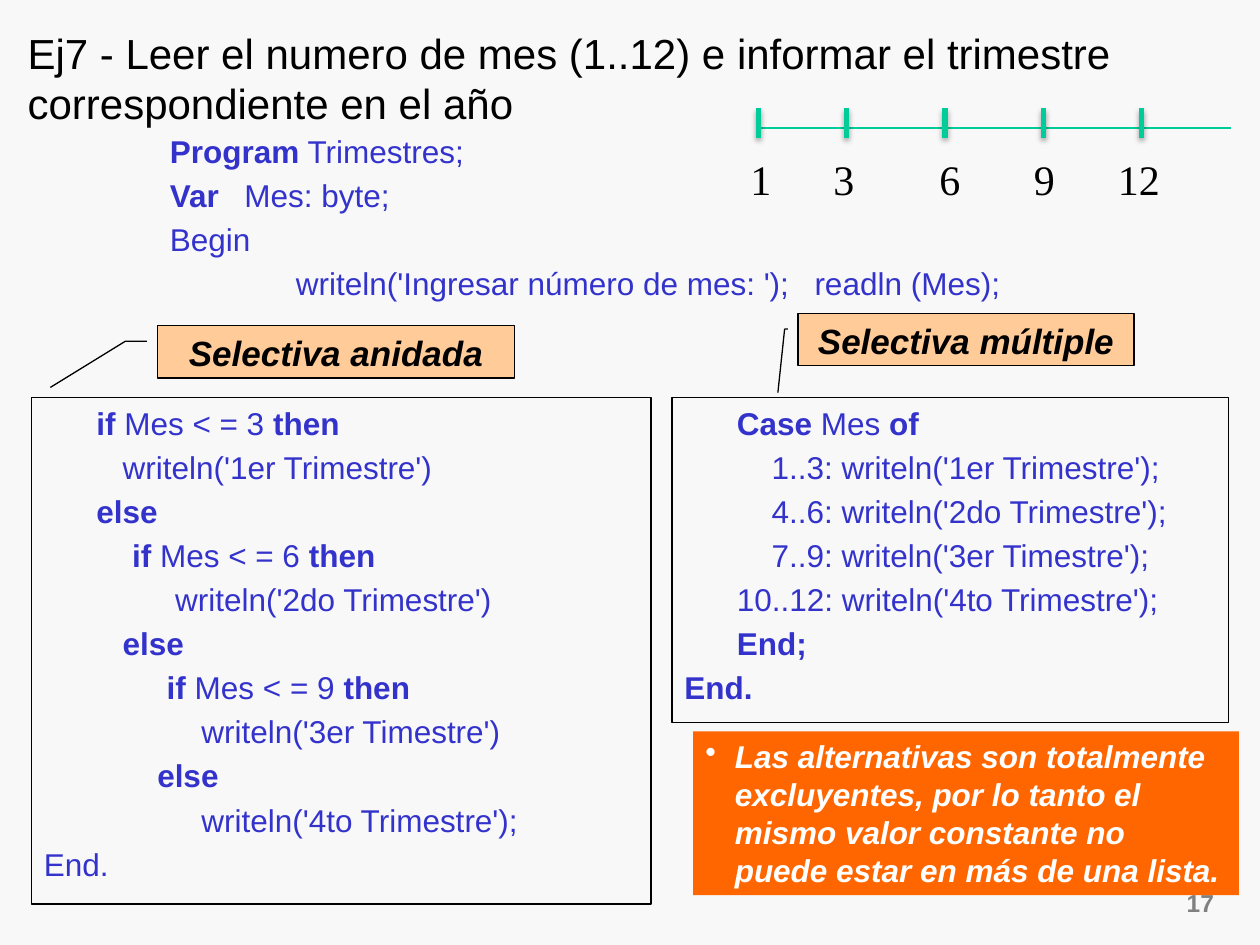
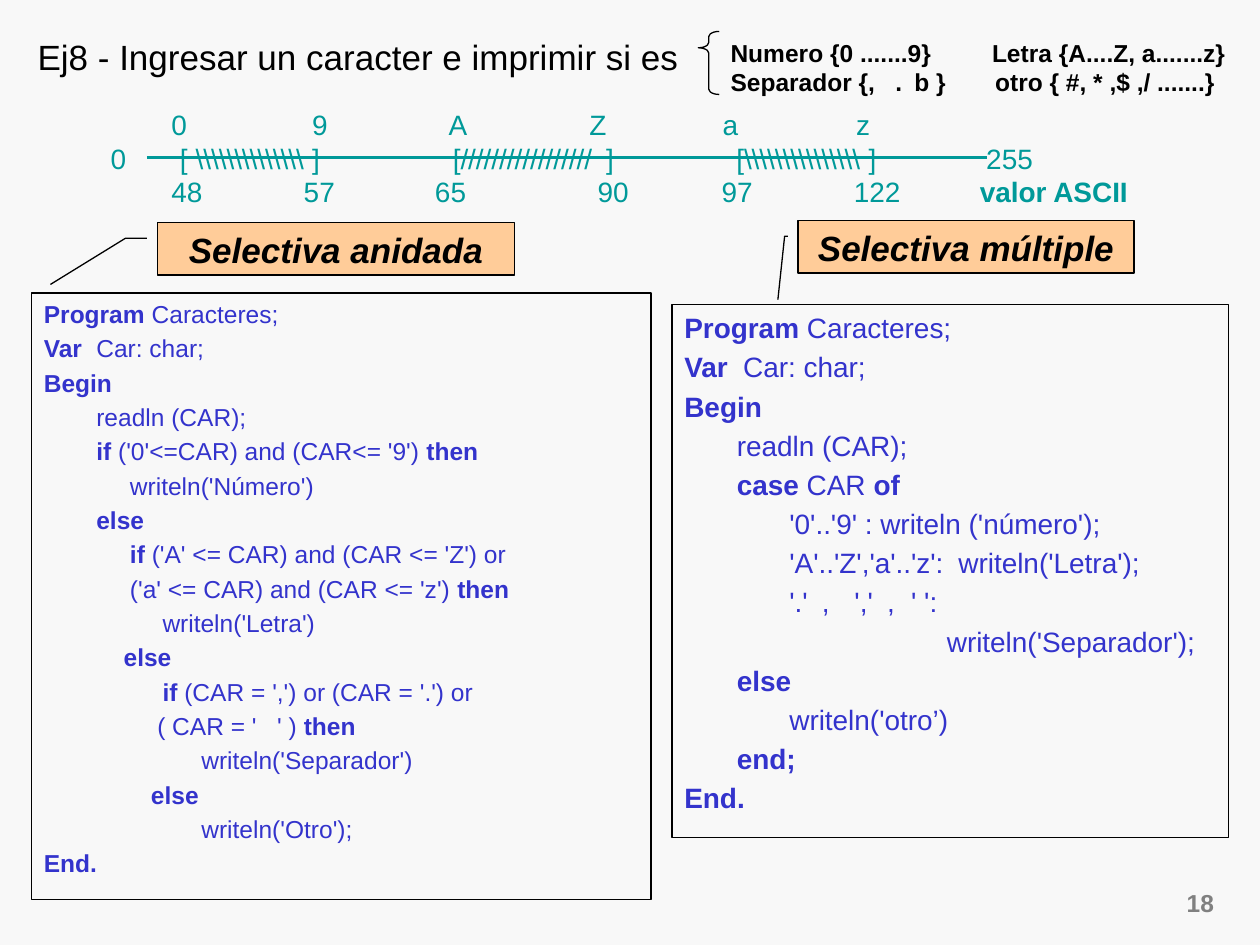
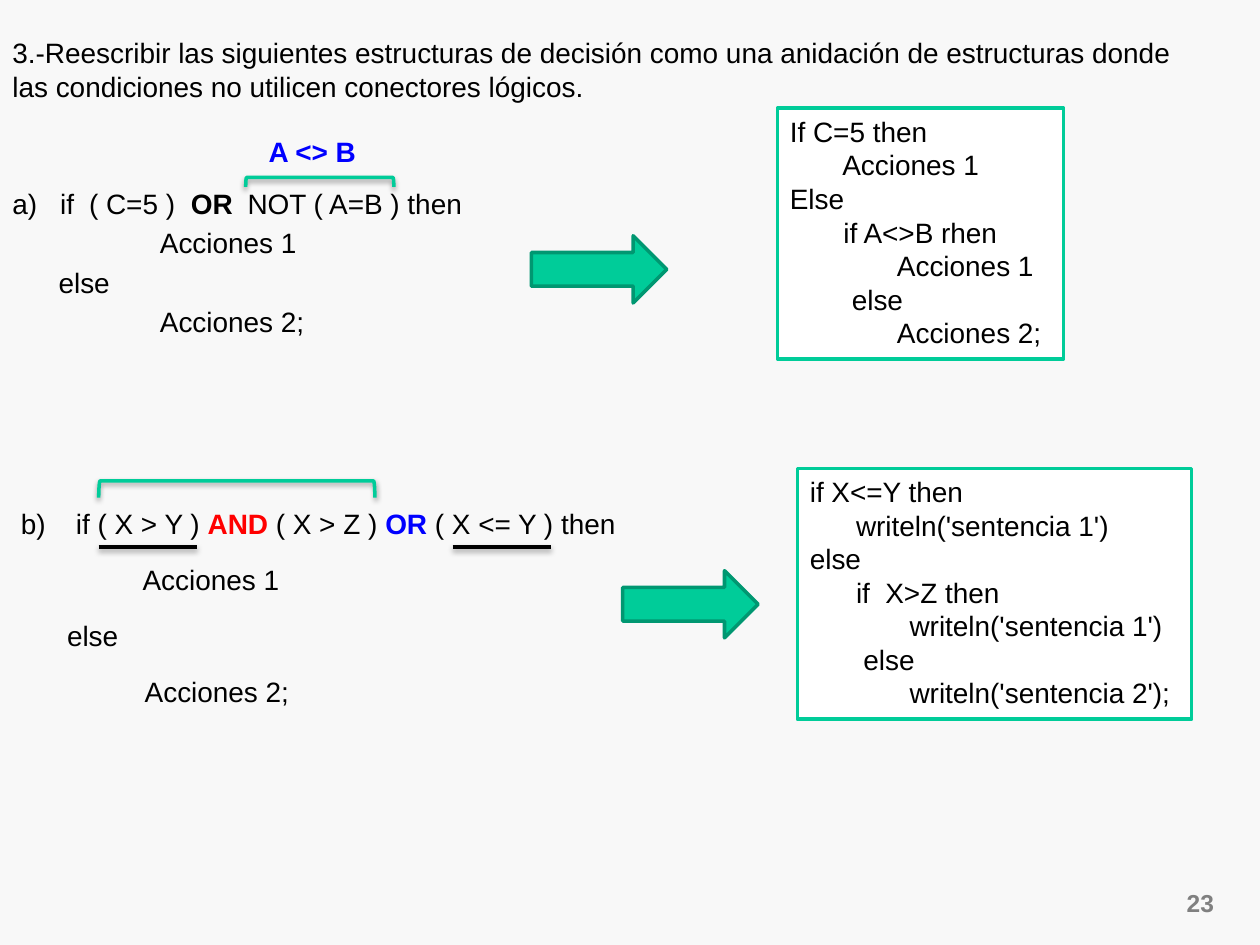
import lxml.etree
import pptx
import pptx.dml.color
import pptx.enum.shapes
import pptx.enum.text
import pptx.util

RGB = pptx.dml.color.RGBColor
SHAPE = pptx.enum.shapes.MSO_SHAPE
ALIGN = pptx.enum.text.PP_ALIGN
Pt = pptx.util.Pt

BACKGROUND = RGB(0xF8, 0xF8, 0xF8)
BLACK = RGB(0, 0, 0)
WHITE = RGB(0xFF, 0xFF, 0xFF)
GRAY = RGB(0x80, 0x80, 0x80)
CODE_BLUE = RGB(0x33, 0x33, 0xCC)
BLUE = RGB(0, 0, 0xFF)
RED = RGB(0xFF, 0, 0)
GREEN = RGB(0, 0xCC, 0x99)
DARK_GREEN = RGB(0, 0x97, 0x71)
TEAL = RGB(0, 0x99, 0x99)
PEACH = RGB(0xFF, 0xCC, 0x99)
ORANGE = RGB(0xFF, 0x66, 0)

COLUMNS = 120
WIDTH = pptx.util.Inches(10)
HEIGHT = pptx.util.Inches(7.5)
DRAWING = "{http://schemas.openxmlformats.org/drawingml/2006/main}"


def grid(count):
    return round(count * WIDTH / COLUMNS)


def add_xml(parent, tag, **attributes):
    values = {name: str(value) for name, value in attributes.items()}
    return lxml.etree.SubElement(parent, DRAWING + tag, values)


def write(frame, text, size=16, color=BLACK, bold=False, italic=False, font="Arial",
          align=ALIGN.LEFT, indent=0, hanging=0, tabs=(), before=0, spacing=None,
          bullet=None, accents=()):
    paragraph = frame.paragraphs[0]
    if paragraph.runs:
        paragraph = frame.add_paragraph()
        paragraph.space_before = Pt(before)
    paragraph.alignment = align
    paragraph.line_spacing = spacing
    properties = paragraph._p.get_or_add_pPr()
    if indent:
        properties.set("marL", str(grid(indent)))
    if hanging:
        properties.set("indent", str(grid(-hanging)))
    if bullet:
        add_xml(properties, "buChar", char=bullet)
    if tabs:
        stops = add_xml(properties, "tabLst")
        for tab in tabs:
            add_xml(stops, "tab", pos=grid(tab), algn="l")
    colors = iter(accents)
    for index, part in enumerate(text.split("|")):
        if part:
            emphasized = index % 2 == 1
            run = paragraph.add_run()
            run.text = part
            run.font.name = font
            run.font.size = Pt(size)
            run.font.bold = bold or emphasized
            run.font.italic = italic
            run.font.color.rgb = next(colors, color) if emphasized else color


def write_lines(frame, lines, size=16, spaced=True, **style):
    before = 0.2 * size if spaced else 0
    for indent, text, *tabs in lines:
        write(frame, text, size=size, indent=indent, tabs=tabs, before=before, **style)


class Deck:
    def __init__(self):
        self.presentation = pptx.Presentation()
        self.presentation.slide_width = WIDTH
        self.presentation.slide_height = HEIGHT
        fill = self.presentation.slide_master.background.fill
        fill.solid()
        fill.fore_color.rgb = BACKGROUND
        self.slide = None

    def new_slide(self, number):
        self.slide = self.presentation.slides.add_slide(self.presentation.slide_layouts[6])
        write(self.text(109, 84, 7.8, 4), number, size=14, color=GRAY, bold=True,
              align=ALIGN.RIGHT)

    def text(self, left, top, width, height):
        frame = self.slide.shapes.add_textbox(*map(grid, (left, top, width, height))).text_frame
        frame.word_wrap = True
        return frame

    def title(self, left, top, width, text, size):
        write(self.text(left, top, width, 11), text, size=size)

    def shape(self, kind, left, top, width, height, fill=None, line=None, weight=0.75,
              adjustments=(), rotation=0):
        shape = self.slide.shapes.add_shape(kind, *map(grid, (left, top, width, height)))
        shape.shadow.inherit = False
        shape.rotation = rotation
        for index, value in enumerate(adjustments):
            shape.adjustments[index] = value
        if fill is None:
            shape.fill.background()
        else:
            shape.fill.solid()
            shape.fill.fore_color.rgb = fill
        if line is None:
            shape.line.fill.background()
        else:
            shape.line.color.rgb = line
            shape.line.width = Pt(weight)
        shape.text_frame.word_wrap = True
        shape.text_frame.vertical_anchor = pptx.enum.text.MSO_ANCHOR.TOP
        return shape

    def code(self, left, top, width, height, lines, size):
        shape = self.shape(SHAPE.RECTANGLE, left, top, width, height, line=BLACK)
        write_lines(shape.text_frame, lines, size=size, color=CODE_BLUE)

    def solution(self, left, top, width, height, lines):
        shape = self.shape(SHAPE.RECTANGLE, left, top, width, height, WHITE, GREEN, 2)
        write_lines(shape.text_frame, lines, spaced=False)

    def callout(self, left, top, width, text, adjustments):
        shape = self.shape(SHAPE.LINE_CALLOUT_2, left, top, width, 5, PEACH, BLACK,
                           adjustments=adjustments)
        write(shape.text_frame, text, size=20, bold=True, italic=True, align=ALIGN.CENTER)

    def callouts(self, nested_top, multiple_top):
        self.callout(15, nested_top, 34, "Selectiva anidada",
                     (0.3, -0.03, 0.3, -0.09, 1.18, -0.3))
        self.callout(76, multiple_top, 32, "Selectiva múltiple",
                     (0.3, -0.03, 0.3, -0.04, 1.51, -0.06))

    def shadow(self, effects):
        shadow = add_xml(effects, "outerShdw", blurRad=Pt(3.1), dist=Pt(1.7),
                         dir=5400000, rotWithShape=0)
        add_xml(add_xml(shadow, "srgbClr", val=BLACK), "alpha", val=36000)

    def line(self, start, end, color, weight, shadowed=False):
        connector = self.slide.shapes.add_connector(
            pptx.enum.shapes.MSO_CONNECTOR.STRAIGHT, *map(grid, start + end))
        connector.line.color.rgb = color
        connector.line.width = Pt(weight)
        effects = add_xml(connector._element.spPr, "effectLst")
        if shadowed:
            self.shadow(effects)

    def bracket(self, left, top, width, height):
        shape = self.shape(SHAPE.LEFT_BRACKET, left + (width - height) / 2,
                           top + (height - width) / 2, height, width,
                           line=GREEN, weight=2, rotation=90)
        self.shadow(shape._element.spPr.find(DRAWING + "effectLst"))

    def arrow(self, left, top):
        self.shape(SHAPE.RIGHT_ARROW, left, top, 12.9, 6.4, GREEN, DARK_GREEN, 2)


def quarters_slide(deck):
    deck.new_slide("17")
    deck.title(1.45, 2, 110.6, "Ej7 - Leer el numero de mes (1..12) e informar el trimestre "
               "correspondiente en el año", 24)
    write_lines(deck.text(9, 12, 102, 17.8), [
        (6, "|Program| Trimestres;"),
        (0, "\t|Var|\tMes: byte;", 6, 13.1),
        (6, "Begin"),
        (0, "\twriteln('Ingresar número de mes: ');\treadln (Mes);", 18, 67.4),
    ], size=18, color=CODE_BLUE)
    deck.code(3, 37.85, 59, 48.25, [
        (5, "|if| Mes < = 3 |then|"),
        (7.5, "writeln('1er Trimestre')"),
        (5, "|else|"),
        (8.4, "|if| Mes < = 6 |then|"),
        (12.5, "writeln('2do Trimestre')"),
        (7.5, "|else|"),
        (11.7, "|if| Mes < = 9 |then|"),
        (15, "writeln('3er Timestre')"),
        (10.8, "|else|"),
        (15, "writeln('4to Trimestre');"),
        (0, "End."),
    ], 18)
    deck.code(64, 37.85, 53, 30.95, [
        (5, "|Case| Mes |of|"),
        (8.3, "1..3: writeln('1er Trimestre');"),
        (8.3, "4..6: writeln('2do Trimestre');"),
        (8.3, "7..9: writeln('3er Timestre');"),
        (5, "10..12: writeln('4to Trimestre');"),
        (5, "|End;|"),
        (0, "|End.|"),
    ], 18)
    deck.callouts(31, 29.85)
    note = deck.shape(SHAPE.RECTANGLE, 66, 69.65, 52, 15.6, ORANGE)
    write(note.text_frame, "Las alternativas son totalmente excluyentes, por lo tanto el mismo "
          "valor constante no puede estar en más de una lista.", size=18, color=WHITE,
          bold=True, italic=True, indent=2.8, hanging=2.8, bullet="•")
    deck.line((72.25, 12.2), (117.2, 12.2), GREEN, 0.75)
    for tick in [72.25] + [80.65 + 9.35 * step for step in range(4)]:
        deck.line((tick, 10.3), (tick, 13.1), GREEN, 3, shadowed=True)
    write(deck.text(70.3, 14, 48.7, 6.1), "1\t3\t6\t9\t12", size=24,
          font="Times New Roman", tabs=(7.9, 18, 27, 35))


def characters_slide(deck):
    deck.new_slide("18")
    deck.title(2.4, 2.8, 102, "Ej8 - Ingresar un caracter e imprimir si es", 20)
    deck.code(3, 27.9, 59, 57.8, [
        (0, "|Program |Caracteres;"),
        (0, "|Var|\tCar: char;", 5),
        (0, "|Begin|"),
        (5, "readln (CAR);"),
        (5, "|if| ('0'<=CAR) and (CAR<= '9') |then|"),
        (8.2, "writeln('Número')"),
        (5, "|else|"),
        (8.2, "|if| ('A' <= CAR) and (CAR <= 'Z') or"),
        (8.2, "('a' <= CAR) and (CAR <= 'z') |then|"),
        (11.3, "writeln('Letra')"),
        (7.6, "|else|"),
        (11.3, "|if| (CAR = ',') or (CAR = '.') or"),
        (10.8, "( CAR = '   ' ) |then|"),
        (15, "writeln('Separador')"),
        (10.2, "|else|"),
        (15, "writeln('Otro');"),
        (0, "|End.|"),
    ], 14)
    deck.code(64, 29, 53, 50.8, [
        (0, "|Program |Caracteres;"),
        (0, "|Var|\tCar: char;", 5.6),
        (0, "|Begin|"),
        (5, "readln (CAR);"),
        (5, "|case| CAR |of|"),
        (10, "'0'..'9' : writeln ('número');"),
        (0, "\t'A'..'Z','a'..'z':\twriteln('Letra');", 10, 26.1),
        (0, "\t'.'\t,\t','\t,\t' ':", 10, 13.1, 16.2, 19.3, 21.6),
        (25, "writeln('Separador');"),
        (5, "|else|"),
        (10, "writeln('otro’)"),
        (5, "|end;|"),
        (0, "|End.|"),
    ], 16)
    deck.callouts(21.2, 21)
    write_lines(deck.text(68.4, 3, 50.2, 7), [
        (0, "Numero {0 .......9}\tLetra {A....Z, a.......z}", 24.9),
        (0, "Separador {,\t.\tb }\totro { #, * ,$ ,/ .......}", 15.7, 17.5, 25.2),
    ], size=14, bold=True, spaced=False)
    deck.shape(SHAPE.LEFT_BRACE, 66.5, 3, 2, 6, line=BLACK, adjustments=(0.25, 0.26))
    digits, capitals, lowercase = "\\" * 14, "/" * 17, "\\" * 15
    write_lines(deck.text(9.35, 9.65, 100.3, 14), [
        (0, "\t0\t9\tA\tZ\ta\tz", 5.8, 19.2, 32.2, 45.6, 58.3, 71),
        (0, f"0\t[\t{digits}\t]\t[{capitals}\t]\t[{lowercase}\t]\t255",
         6.6, 8.1, 19.2, 32.6, 47.2, 59.6, 72.2, 83.4),
        (0, "\t48\t57\t65\t90\t97\t122\t|valor ASCII|",
         5.8, 18.4, 30.9, 46.4, 58.2, 70.8, 82.8),
    ], color=TEAL, spaced=False)
    deck.line((14, 15), (94, 15), TEAL, 2.25)


def rewriting_slide(deck):
    deck.new_slide("23")
    frame = deck.text(0, 2.8, 114.4, 33.7)
    write(frame, "3.-Reescribir las siguientes estructuras de decisión como una anidación de "
          "estructuras donde las condiciones no utilicen conectores lógicos.")
    write(frame, "a)\tif\t( C=5 )\t|OR|\tNOT ( A=B ) then", before=48,
          tabs=(4.55, 7.3, 17, 22.4))
    write_lines(frame, [(14.05, "Acciones 1"), (4.4, "else"), (14.05, "Acciones 2;")])
    deck.bracket(23.4, 16.9, 14.1, 0.9)
    write_lines(deck.text(0, 46.05, 63.7, 20.55), [
        (0, "\tb)\tif ( X > Y ) |AND| ( X > Z ) |OR| ( X <= Y ) then", 0.8, 6.05),
        (12.4, "Acciones 1"),
        (5.2, "else"),
        (12.6, "Acciones 2;"),
    ], spacing=1.5, accents=(RED, BLUE))
    write(deck.text(24.4, 12.2, 12.2, 4.4), "A <> B", color=BLUE, bold=True)
    deck.arrow(50.6, 22.45)
    deck.solution(74.05, 10.3, 27.25, 23.9, [
        (0, "If C=5 then"),
        (5, "Acciones 1"),
        (0, "Else"),
        (5.1, "if A<>B rhen"),
        (10.2, "Acciones 1"),
        (5.9, "else"),
        (10.2, "Acciones 2;"),
    ])
    deck.bracket(9.4, 45.8, 26.3, 1.6)
    for left in (43.1, 9.4):
        deck.line((left, 52.1), (left + 9.4, 52.1), BLACK, 2, shadowed=True)
    deck.solution(75.95, 44.6, 37.55, 23.9, [
        (0, "if X<=Y then"),
        (4.4, "writeln('sentencia 1')"),
        (0, "else"),
        (0, "\tif\tX>Z then", 4.4, 7.2),
        (9.5, "writeln('sentencia 1')"),
        (5.1, "else"),
        (9.5, "writeln('sentencia 2');"),
    ])
    deck.arrow(59.3, 54.35)


def main():
    deck = Deck()
    quarters_slide(deck)
    characters_slide(deck)
    rewriting_slide(deck)
    deck.presentation.save("out.pptx")


if __name__ == "__main__":
    main()
